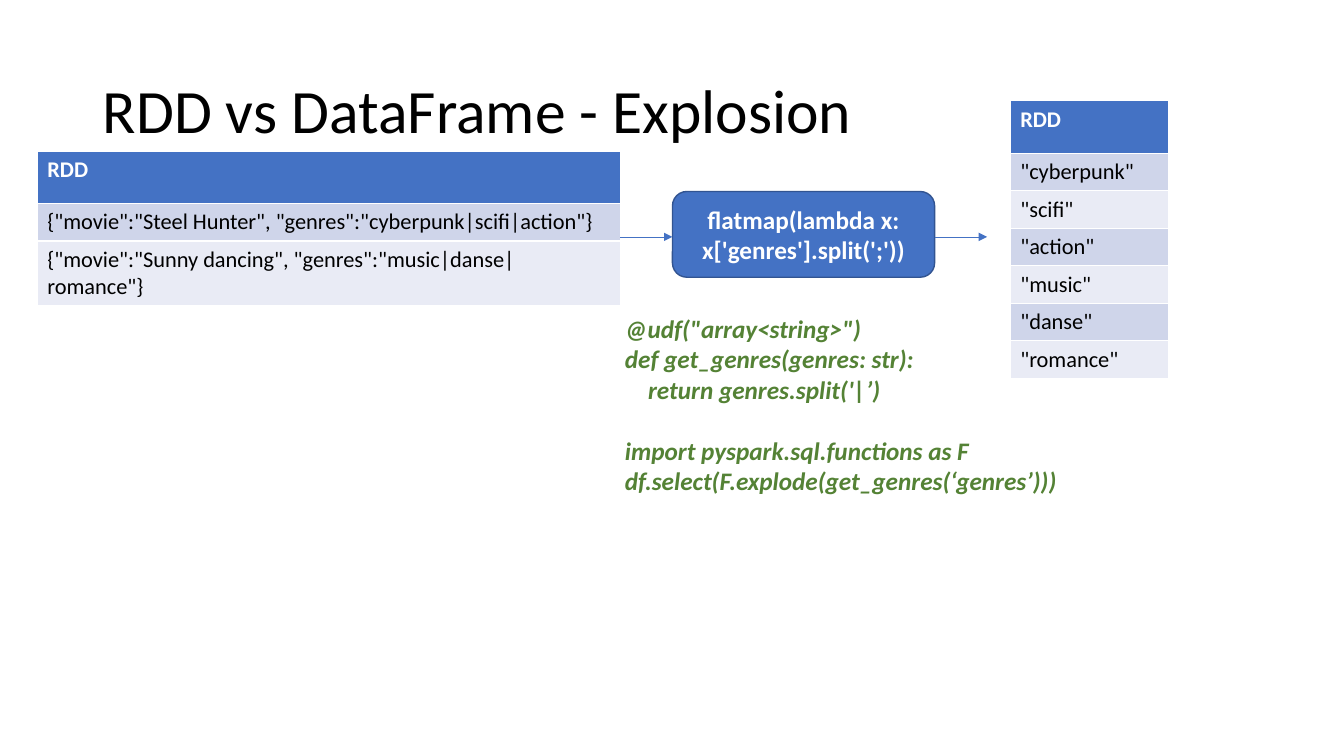
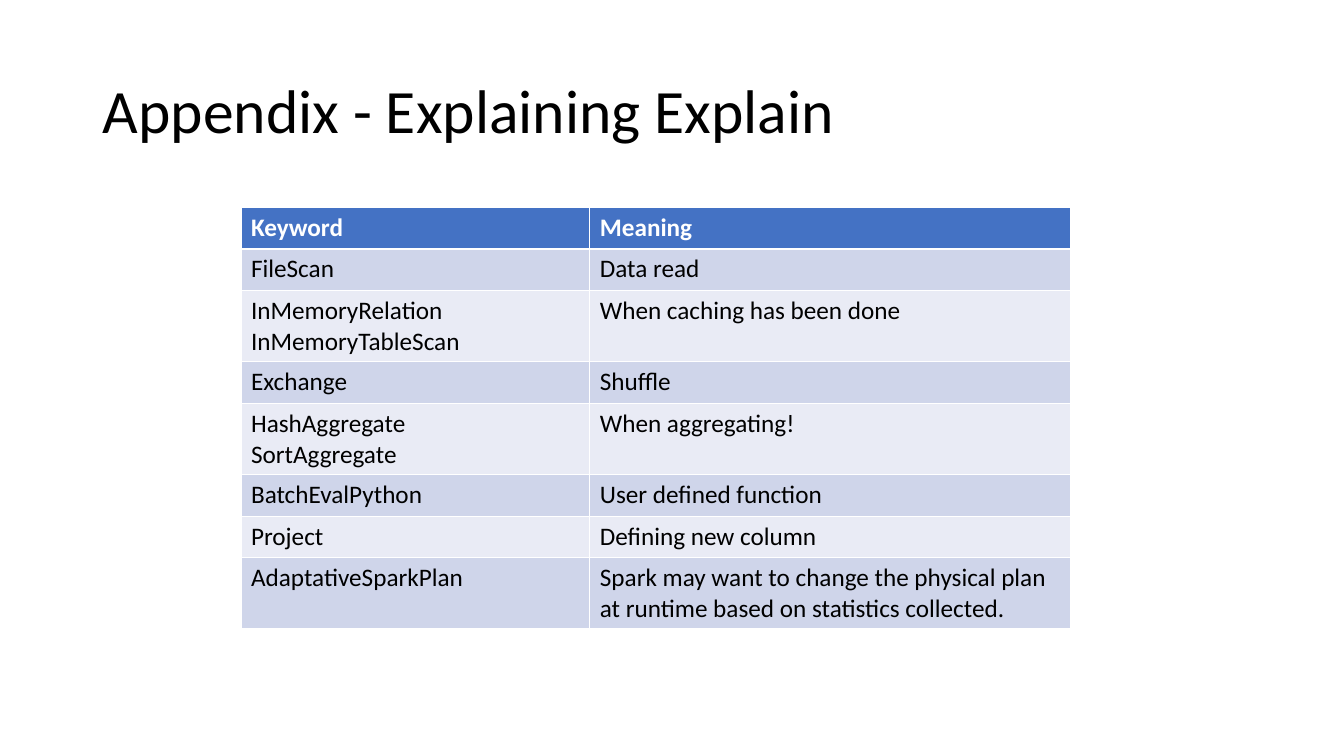
from lxml import etree
from pptx import Presentation, util as u
from pptx.dml import color
from pptx.enum import shapes, text
from pptx.oxml import ns

Inches = u.Inches
COLOURS = {
    "ink": "000000", "paper": "FFFFFF", "blue": "4472C4", "edge": "325491",
    "code": "548235", "odd": "CFD5EA", "even": "E9EBF5",
}
FONT = "Calibri"
TITLE_BOX = (0.92, 0.4, 11.5, 1.45)

GENRES = ["cyberpunk", "scifi", "action", "music", "danse", "romance"]
MOVIES = [("Steel Hunter", GENRES[:3]), ("Sunny dancing", GENRES[3:])]
CODE_LINES = [
    ('@udf("array<string>")', 0, 0),
    ("def get_genres(genres: str):", 0, 0),
    ("return genres.split('|’)", 0.23, 0),
    ("import pyspark.sql.functions as F", 0, 22),
    ("df.select(F.explode(get_genres(‘genres’)))", 0, 0),
]
KEYWORDS = [
    ("Keyword", "Meaning"),
    ("FileScan", "Data read"),
    ("InMemoryRelation\nInMemoryTableScan", "When caching has been done"),
    ("Exchange", "Shuffle"),
    ("HashAggregate\nSortAggregate", "When aggregating!"),
    ("BatchEvalPython", "User defined function"),
    ("Project", "Defining new column"),
    ("AdaptativeSparkPlan",
     "Spark may want to change the physical plan at runtime based on statistics collected."),
]


def rgb(name):
    """Return the named palette colour."""
    return color.RGBColor.from_string(COLOURS[name])


def style_text(frame, colour, size, **formats):
    """Apply one font style to every run of a text frame."""
    values = {"name": FONT, "size": u.Pt(size), **formats}
    for para in frame.paragraphs:
        for span in para.runs:
            for key, value in values.items():
                setattr(span.font, key, value)
            span.font.color.rgb = rgb(colour)


def add_page(deck, heading):
    """Add a page with the shared title style."""
    page = deck.slides.add_slide(deck.slide_layouts.get_by_name("Title Only"))
    title = page.shapes.title
    for key, value in zip(("left", "top", "width", "height"), TITLE_BOX):
        setattr(title, key, Inches(value))
    frame = title.text_frame
    frame.text = heading
    frame.auto_size = text.MSO_AUTO_SIZE.NONE
    frame.vertical_anchor = text.MSO_ANCHOR.MIDDLE
    frame.paragraphs[0].alignment = text.PP_ALIGN.LEFT
    frame.paragraphs[0].line_spacing = 0.9
    style_text(frame, "ink", 44)
    return page


def add_grid(page, left, top, widths, heights, rows, size):
    """Add a table with a blue header and banded rows."""
    box = map(Inches, (left, top, sum(widths), sum(heights)))
    table = page.shapes.add_table(len(rows), len(widths), *box).table
    for column, width in zip(table.columns, widths):
        column.width = Inches(width)
    for index, (row, height, words) in enumerate(zip(table.rows, heights, rows)):
        row.height = Inches(height)
        header = index == 0
        fill = "blue" if header else "odd" if index % 2 else "even"
        for cell, word in zip(row.cells, words):
            cell.fill.solid()
            cell.fill.fore_color.rgb = rgb(fill)
            cell.text_frame.text = word
            style_text(cell.text_frame, "paper" if header else "ink", size, bold=header)


def add_rdd(page, left, top, width, records):
    """Add a one-column RDD table."""
    rows = [("RDD",)] + [(record,) for record in records]
    add_grid(page, left, top, [width], [0.52] + [0.37] * len(records), rows, 16)


def add_arrow(page, left, top, length):
    """Add a thin arrow pointing right."""
    ends = map(Inches, (left, top, left + length, top))
    arrow = page.shapes.add_connector(shapes.MSO_CONNECTOR.STRAIGHT, *ends)
    arrow.line.color.rgb = rgb("blue")
    arrow.line.width = u.Pt(0.5)
    etree.SubElement(arrow.line._get_or_add_ln(), ns.qn("a:tailEnd"), type="triangle")
    etree.SubElement(arrow._element.spPr, ns.qn("a:effectLst"))


def add_step(page, left, top, width, height, label):
    """Add a rounded step box with an arrow on each side."""
    step = page.shapes.add_shape(
        shapes.MSO_SHAPE.ROUNDED_RECTANGLE, *map(Inches, (left, top, width, height)))
    step.shadow.inherit = False
    step.fill.solid()
    step.fill.fore_color.rgb = rgb("blue")
    step.line.color.rgb = rgb("edge")
    step.line.width = u.Pt(1)
    frame = step.text_frame
    frame.text = label
    frame.word_wrap = True
    frame.vertical_anchor = text.MSO_ANCHOR.MIDDLE
    frame.paragraphs[0].alignment = text.PP_ALIGN.CENTER
    style_text(frame, "paper", 18, bold=True)
    length = 0.52
    for start in (left - length, left + width):
        add_arrow(page, start, top + 0.45, length)


def add_code(page, left, top, width, height, lines):
    """Add a code listing with indents and gaps."""
    frame = page.shapes.add_textbox(*map(Inches, (left, top, width, height))).text_frame
    frame.word_wrap = True
    frame.text = "\n".join(line for line, _, _ in lines)
    for para, (_, indent, gap) in zip(frame.paragraphs, lines):
        para.space_before = u.Pt(gap)
        para._p.get_or_add_pPr().set("marL", str(Inches(indent)))
    style_text(frame, "code", 18, bold=True, italic=True)


def build_explosion(deck):
    """Build the page that compares flatmap with explode."""
    page = add_page(deck, "RDD vs DataFrame - Explosion")
    records = [f'{{"movie":"{movie}", "genres":"{"|".join(genres)}"}}'
               for movie, genres in MOVIES]
    add_rdd(page, 0.37, 1.5, 5.79, records)
    add_step(page, 6.67, 1.9, 2.6, 0.85, "flatmap(lambda x: x['genres'].split(';'))")
    add_rdd(page, 10.02, 1, 1.57, [f'"{genre}"' for genre in GENRES])
    add_code(page, 6.1, 3.06, 4.82, 1.92, CODE_LINES)


def build_appendix(deck):
    """Build the page that lists the plan keywords."""
    page = add_page(deck, "Appendix - Explaining Explain")
    tall_rows = (2, 4, 7)
    heights = [0.71 if index in tall_rows else 0.41 for index in range(len(KEYWORDS))]
    add_grid(page, 2.39, 2.06, [3.46, 4.77], heights, KEYWORDS, 18)


def main():
    """Build and save the deck."""
    deck = Presentation()
    deck.slide_width, deck.slide_height = Inches(13.33), Inches(7.5)
    build_explosion(deck)
    build_appendix(deck)
    deck.save("out.pptx")


if __name__ == "__main__":
    main()
